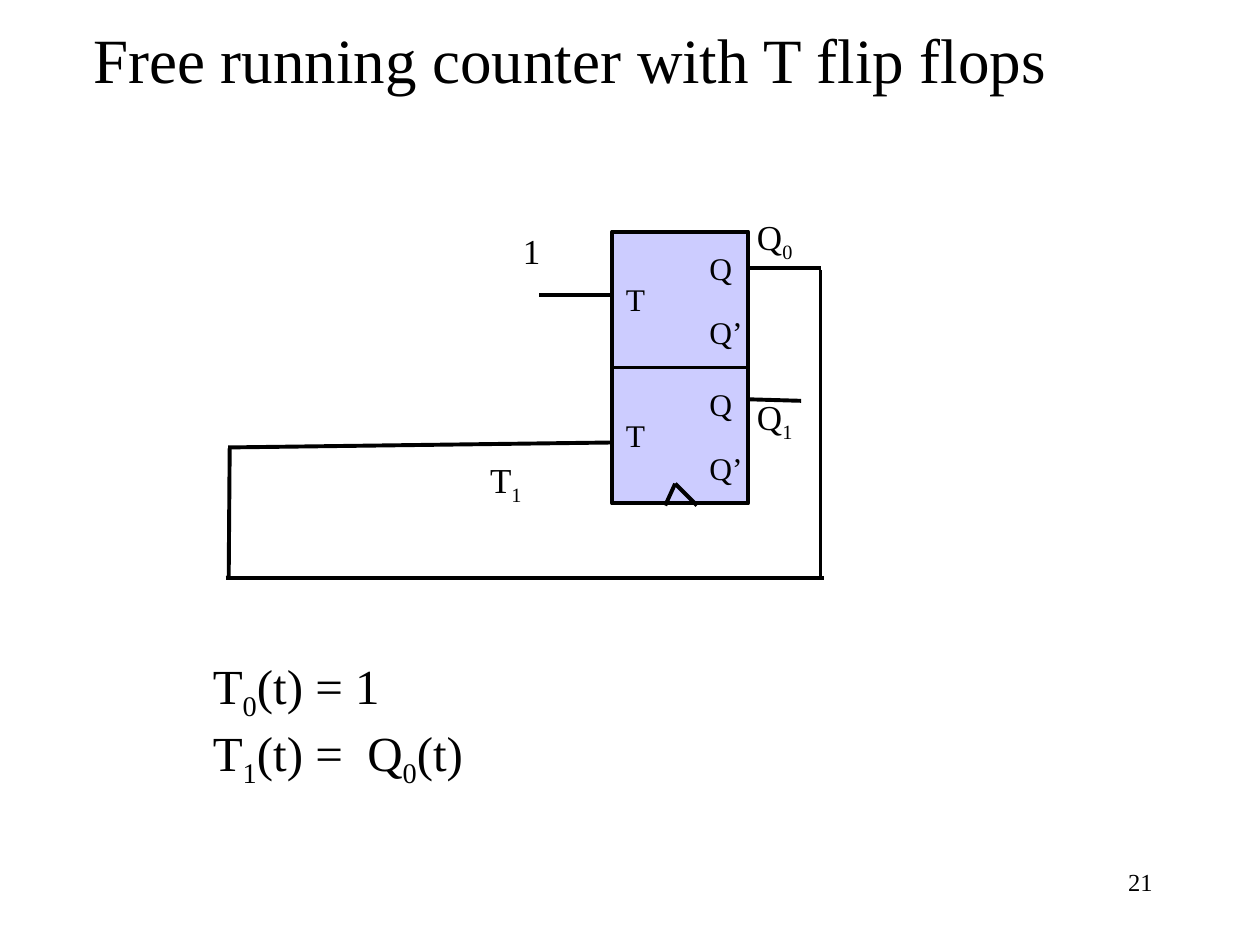
import pptx
import pptx.util
import pptx.dml.color
import pptx.enum.shapes
import pptx.enum.text
import pptx.oxml.ns
import lxml.etree

Cm, Pt = pptx.util.Cm, pptx.util.Pt
ALIGN = pptx.enum.text.PP_ALIGN
COLORS = {name: pptx.dml.color.RGBColor.from_string(value)
          for name, value in {"ink": "000000", "block": "CCCCFF"}.items()}
FRAME = {"margin_left": Cm(0.25), "margin_right": Cm(0.25),
         "margin_top": Cm(0.13), "margin_bottom": Cm(0.13),
         "auto_size": pptx.enum.text.MSO_AUTO_SIZE.NONE,
         "vertical_anchor": pptx.enum.text.MSO_ANCHOR.TOP}
PARAGRAPH = {"space_before": Pt(0), "space_after": Pt(0), "line_spacing": 1.0}

deck = pptx.Presentation()
deck.slide_width, deck.slide_height = Cm(25.4), Cm(19.05)
slide = deck.slides.add_slide(deck.slide_layouts[1])


def write(box, lines, size, wrap=False, align=ALIGN.LEFT):
    """Fill a box; a character after an underscore is a subscript."""
    frame = box.text_frame
    for key, value in {**FRAME, "word_wrap": wrap}.items():
        setattr(frame, key, value)
    for index, line in enumerate(lines):
        paragraph = frame.paragraphs[0] if index == 0 else frame.add_paragraph()
        for key, value in {**PARAGRAPH, "alignment": align}.items():
            setattr(paragraph, key, value)
        if box.is_placeholder:
            properties = paragraph._p.get_or_add_pPr()
            properties.set("marL", "0")
            properties.set("indent", "0")
            lxml.etree.SubElement(properties, pptx.oxml.ns.qn("a:buNone"))
        first, *rest = line.split("_")
        pieces = [(first, False)]
        for part in rest:
            pieces += [(part[0], True), (part[1:], False)]
        for text, subscript in pieces:
            if not text:
                continue
            run = paragraph.add_run()
            run.text = text
            run.font.name, run.font.size = "Times New Roman", Pt(size)
            run.font.color.rgb = COLORS["ink"]
            if subscript:
                run._r.get_or_add_rPr().set("baseline", "-25000")


# Title and equations
title = slide.shapes.title
equations = slide.placeholders[1]
for box, place in ((title, (1.63, 0.28, 19.76, 1.78)),
                   (equations, (4.04, 13.08, 14.4, 4.14))):
    box.left, box.top, box.width, box.height = map(Cm, place)
write(title, ["Free running counter with T flip flops"], 36)
write(equations, ["T_0(t) = 1", "T_1(t) =  Q_0(t)"], 28, wrap=True)

# Two stacked flip flops
side = 2.74
labels = []
for stage in range(2):
    top = 4.67 + stage * side
    flip_flop = slide.shapes.add_shape(
        pptx.enum.shapes.MSO_SHAPE.RECTANGLE, Cm(12.34), Cm(top), Cm(side), Cm(side))
    flip_flop.shadow.inherit = False
    flip_flop.fill.solid()
    flip_flop.fill.fore_color.rgb = COLORS["block"]
    flip_flop.line.color.rgb = COLORS["ink"]
    flip_flop.line.width = Pt(2.25)
    labels += [("T", 18, 12.37, top + 0.85, 0.89, 1.02),
               ("Q", 18, 14.05, top + 0.22, 0.97, 1.02),
               ("Q’", 18, 14.05, top + 1.52, 1.17, 1.02)]

# Wires and clock mark
wires = [
    (12.34, 5.94, 10.87, 5.94),   # constant input T0
    (4.6, 9.02, 12.34, 8.92),     # input T1
    (15.06, 5.41, 16.56, 5.41),   # output Q0
    (15.11, 8.05, 16.15, 8.08),   # output Q1
    (16.54, 5.44, 16.54, 11.66),  # feedback, right
    (4.55, 11.66, 16.61, 11.66),  # feedback, bottom
    (4.63, 9.04, 4.61, 11.66),    # feedback, left
    (13.41, 10.19, 13.61, 9.75),  # clock, rising
    (13.61, 9.75, 14.05, 10.19),  # clock, falling
]
for ends in wires:
    wire = slide.shapes.add_connector(
        pptx.enum.shapes.MSO_CONNECTOR.STRAIGHT, *map(Cm, ends))
    wire.line.color.rgb = COLORS["ink"]
    wire.line.width = Pt(2.25)
    lxml.etree.SubElement(wire._element.spPr, pptx.oxml.ns.qn("a:effectLst"))

# Pin and signal labels
labels += [("Q_0", 20, 15.01, 4.22, 1.22, 1.22),
           ("Q_1", 20, 15.01, 7.85, 1.22, 1.22),
           ("1", 20, 10.29, 4.5, 0.86, 1.12),
           ("T_1", 20, 9.63, 9.12, 1.14, 1.22)]
for text, size, *place in labels:
    write(slide.shapes.add_textbox(*map(Cm, place)), [text], size)

# Page number
page_number = slide.shapes.add_textbox(Cm(18.21), Cm(17.35), Cm(5.28), Cm(1.27))
write(page_number, ["21"], 14, wrap=True, align=ALIGN.RIGHT)

deck.save("out.pptx")
